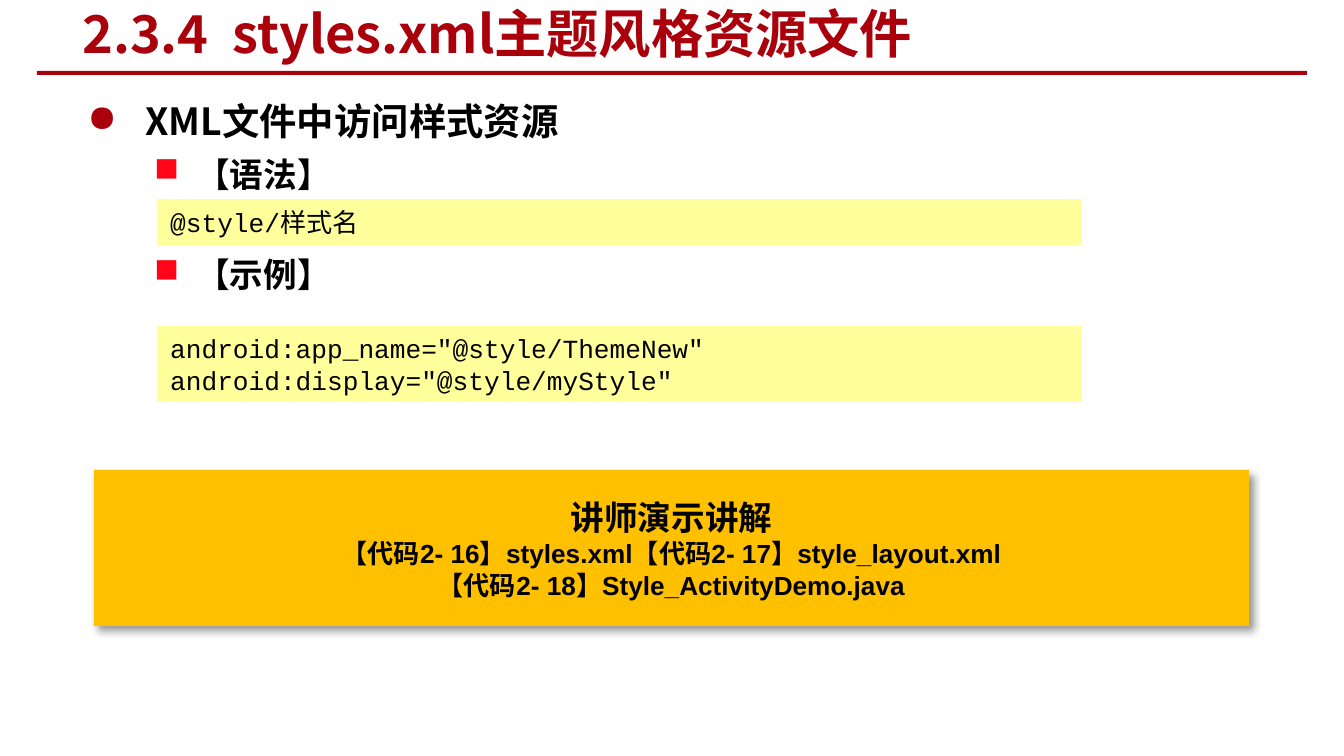
import pptx
import pptx.util
import pptx.dml.color
import pptx.enum.shapes
import pptx.enum.text
import pptx.oxml
import pptx.oxml.ns

PX = 9144000 / 1344
CJK = "Noto Sans CJK SC"
RED = "AA000B"
ALIGN = pptx.enum.text.PP_ALIGN
ANCHOR = pptx.enum.text.MSO_ANCHOR
NS = pptx.oxml.ns.nsdecls("a")


def px(n):
    return pptx.util.Emu(round(n * PX))


def rgb(value):
    return pptx.dml.color.RGBColor.from_string(value)


def add_xml(parent, xml):
    parent.append(pptx.oxml.parse_xml(xml.replace(" ", f" {NS} ", 1)))


def style(p, size, name=CJK, bold=True, color="000000", align=ALIGN.LEFT):
    p.alignment = align
    f = p.font
    f.size, f.name, f.bold = pptx.util.Pt(size), name, bold
    f.color.rgb = rgb(color)
    add_xml(f._element, f'<a:ea typeface="{CJK}"/>')


def add_rect(s, box, color):
    sp = s.shapes.add_shape(pptx.enum.shapes.MSO_SHAPE.RECTANGLE, *map(px, box))
    sp.shadow.inherit = False
    sp.fill.solid()
    sp.fill.fore_color.rgb = rgb(color)
    sp.line.fill.background()
    return sp


def add_lines(tf, lines):
    for i, line in enumerate(lines):
        p = tf.add_paragraph() if i else tf.paragraphs[0]
        p.text = line
        yield p


def add_title(s, box, text):
    x, y, w, h = box
    add_rect(s, (37, y + 68, 1270, 4), RED)
    sp = s.shapes.title
    sp.left, sp.top, sp.width, sp.height = map(px, box)
    tf = sp.text_frame
    tf.text = text
    tf.auto_size = pptx.enum.text.MSO_AUTO_SIZE.NONE
    tf.vertical_anchor = ANCHOR.MIDDLE
    style(tf.paragraphs[0], 28, color=RED)


def add_outline(s, box, items):
    tf = s.shapes.add_textbox(*map(px, box)).text_frame
    tf.word_wrap = True
    tf.margin_top = tf.margin_bottom = 0
    levels = [(58, 58, "●", RED, 20), (109, 42, "■", "FF0517", 18)]
    for p, (text, level, before) in zip(add_lines(tf, [i[0] for i in items]), items):
        margin, hang, bullet, color, size = levels[level]
        p.level = level
        p.line_spacing = pptx.util.Pt(27)
        p.space_before = pptx.util.Pt(before)
        pPr = p._p.get_or_add_pPr()
        pPr.set("marL", str(px(margin)))
        pPr.set("indent", str(-px(hang)))
        add_xml(pPr, f'<a:buClr ><a:srgbClr val="{color}"/></a:buClr>')
        add_xml(pPr, f'<a:buChar char="{bullet}"/>')
        style(p, size)


def add_code(s, box, lines):
    tf = add_rect(s, box, "FFFF9B").text_frame
    tf.word_wrap = True
    tf.vertical_anchor = ANCHOR.MIDDLE
    for p in add_lines(tf, lines):
        p.line_spacing = pptx.util.Pt(17)
        style(p, 14, "Courier New", False)


def add_banner(s, box, heading, lines):
    sp = add_rect(s, box, "FFC000")
    effects = sp._element.spPr.find(pptx.oxml.ns.qn("a:effectLst"))
    add_xml(effects, '<a:outerShdw blurRad="50800" dist="38100" dir="2700000" '
            'algn="tl" rotWithShape="0"><a:srgbClr val="000000">'
            '<a:alpha val="40000"/></a:srgbClr></a:outerShdw>')
    tf = sp.text_frame
    tf.word_wrap = True
    tf.vertical_anchor = ANCHOR.TOP
    tf.margin_top = px(17)
    for i, p in enumerate(add_lines(tf, [heading, *lines])):
        p.line_spacing = pptx.util.Pt(17 if i else 27)
        style(p, 14 if i else 18, "Arial" if i else CJK, align=ALIGN.CENTER)


def main():
    prs = pptx.Presentation()
    prs.slide_width, prs.slide_height = px(1344), px(756)
    s = prs.slides.add_slide(prs.slide_layouts[5])
    add_title(s, (69, 3, 896, 60), "2.3.4  styles.xml主题风格资源文件")
    add_outline(s, (74, 93, 1154, 210), [
        ("XML文件中访问样式资源", 0, 0),
        ("【语法】", 1, 0),
        ("【示例】", 1, 27),
    ])
    add_code(s, (157, 199, 925, 46), ["@style/样式名"])
    add_code(s, (157, 326, 925, 76), [
        'android:app_name="@style/ThemeNew"',
        'android:display="@style/myStyle"',
    ])
    add_banner(s, (94, 470, 1155, 156), "讲师演示讲解", [
        "【代码2- 16】styles.xml【代码2- 17】style_layout.xml",
        "【代码2- 18】Style_ActivityDemo.java",
    ])
    prs.save("out.pptx")


if __name__ == "__main__":
    main()
